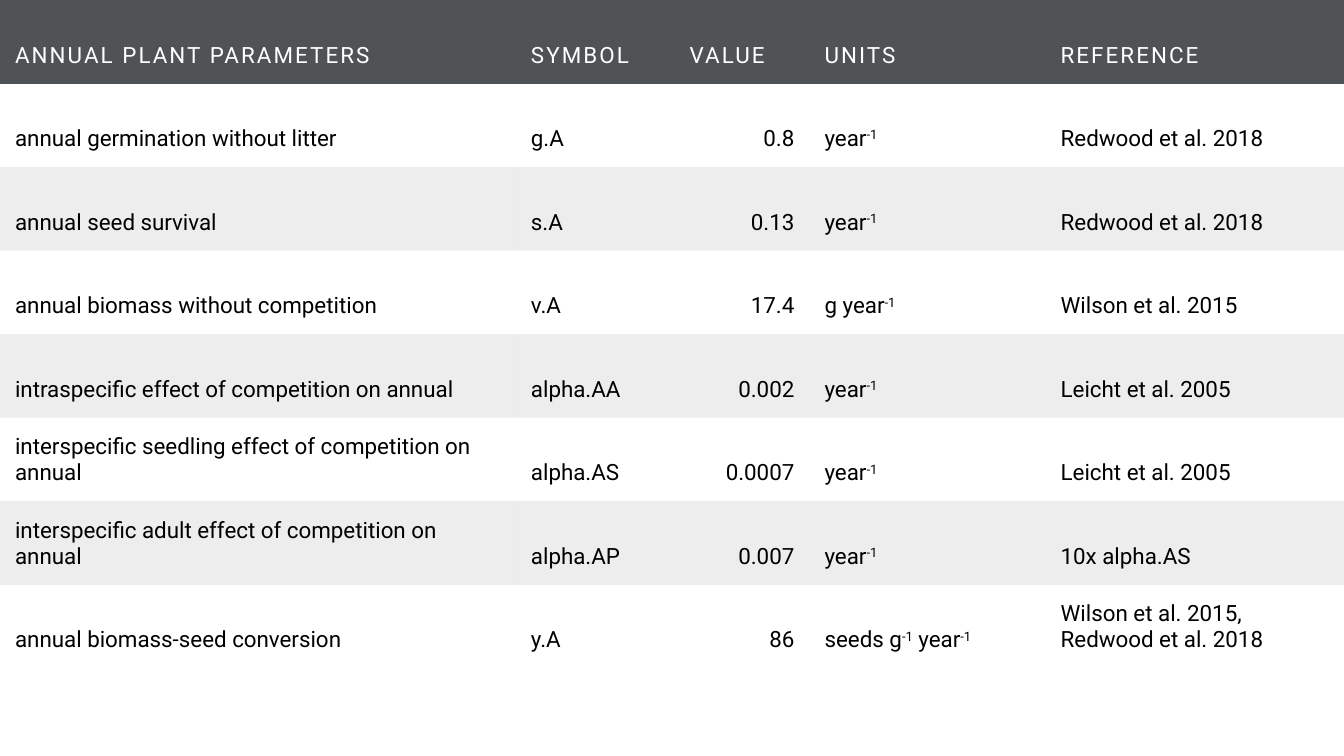
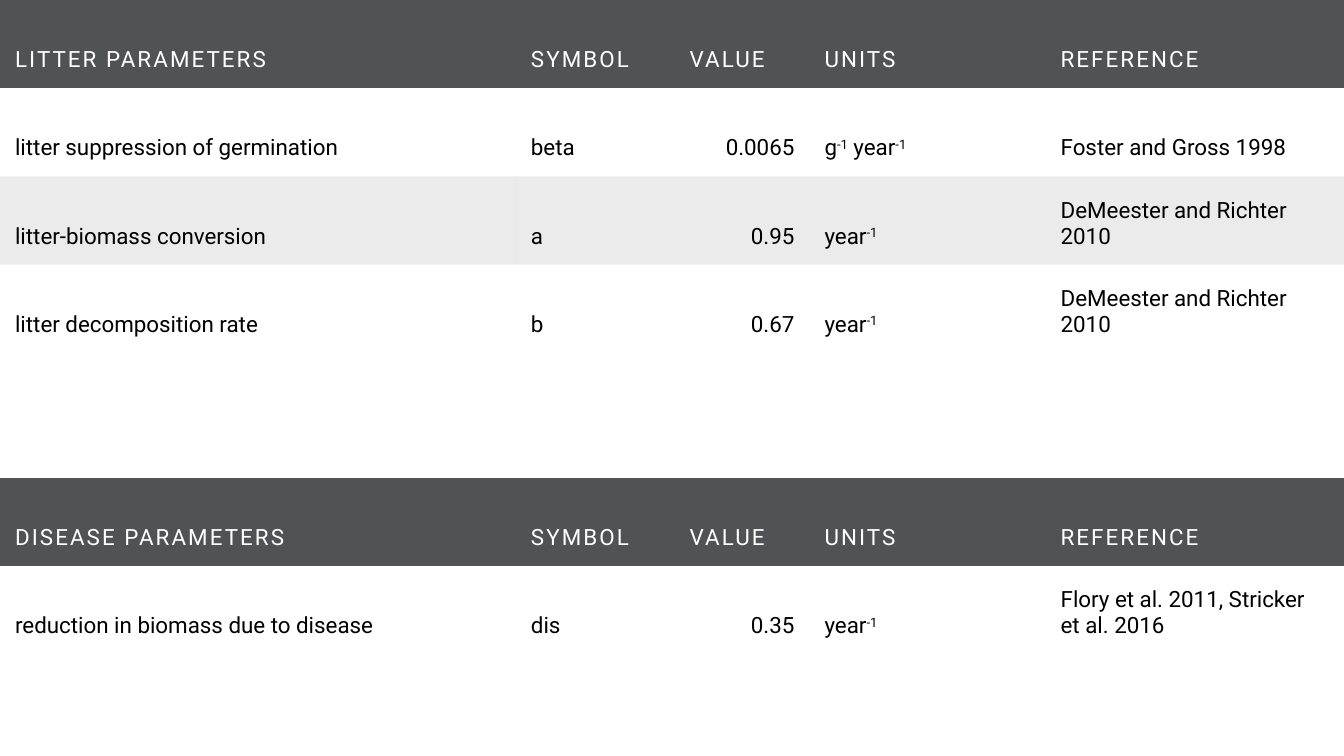
import pptx
import pptx.util
import pptx.dml.color
import pptx.enum.text
import pptx.oxml.ns
import lxml.etree

Cm = pptx.util.Cm
RGB = pptx.dml.color.RGBColor
SLATE = RGB(0x50, 0x53, 0x56)
WHITE = RGB(0xFF, 0xFF, 0xFF)
BLACK = RGB(0x00, 0x00, 0x00)
FONT = "Roboto"
PLAIN = "{2D5ABB26-0587-4C30-8999-92F81FD0307C}"  # table style without grid
WIDTHS = [13.0, 4.0, 3.4, 5.95, 7.52]
HEADS = ["SYMBOL", "VALUE", "UNITS", "REFERENCE"]
VALUE, UNITS = 2, 3

# Per slide: tables as (title, top, height, band opacity in %, rows)
SLIDES = [
    [("ANNUAL PLANT PARAMETERS", 0, 16.84, 7, [
        ["annual germination without litter", "g.A", "0.8", "year-1", "Redwood et al. 2018"],
        ["annual seed survival", "s.A", "0.13", "year-1", "Redwood et al. 2018"],
        ["annual biomass without competition", "v.A", "17.4", "g year-1", "Wilson et al. 2015"],
        ["intraspecific effect of competition on annual", "alpha.AA", "0.002", "year-1",
         "Leicht et al. 2005"],
        ["interspecific seedling effect of competition on annual", "alpha.AS", "0.0007", "year-1",
         "Leicht et al. 2005"],
        ["interspecific adult effect of competition on annual", "alpha.AP", "0.007", "year-1",
         "10x alpha.AS"],
        ["annual biomass-seed conversion", "y.A", "86", "seeds g-1 year-1",
         "Wilson et al. 2015, Redwood et al. 2018"],
    ])],
    [("LITTER PARAMETERS", 0, 8.89, 8, [
        ["litter suppression of germination", "beta", "0.0065", "g-1 year-1",
         "Foster and Gross 1998"],
        ["litter-biomass conversion", "a", "0.95", "year-1", "DeMeester and Richter 2010"],
        ["litter decomposition rate", "b", "0.67", "year-1", "DeMeester and Richter 2010"],
    ]), ("DISEASE PARAMETERS", 12.04, 4.45, 8, [
        ["reduction in biomass due to disease", "dis", "0.35", "year-1",
         "Flory et al. 2011, Stricker et al. 2016"],
    ])],
]


def shade(cell, row, alpha):
    """Dark header, then every second body row tinted."""
    if row == 0:
        cell.fill.solid()
        cell.fill.fore_color.rgb = SLATE
    elif row % 2 == 0:
        cell.fill.solid()
        cell.fill.fore_color.rgb = BLACK
        tint = next(cell._tc.iter(pptx.oxml.ns.qn("a:srgbClr")))
        lxml.etree.SubElement(tint, pptx.oxml.ns.qn("a:alpha")).set("val", str(alpha * 1000))
    else:
        cell.fill.background()


def write(cell, text, head, col):
    """Fill in one cell; exponents in the units column are raised."""
    cell.margin_left = cell.margin_right = Cm(0.38)
    cell.margin_top = cell.margin_bottom = Cm(0.38)
    cell.vertical_anchor = pptx.enum.text.MSO_ANCHOR.BOTTOM
    para = cell.text_frame.paragraphs[0]
    para.font.size = pptx.util.Pt(16)
    para.font.name = FONT
    para.font.color.rgb = WHITE if head else BLACK
    if head:
        para.font._element.set("spc", "150")
    elif col == VALUE:
        para.alignment = pptx.enum.text.PP_ALIGN.RIGHT
    parts = text.split("-1") if col == UNITS else [text]
    for i, part in enumerate(parts):
        if i:
            power = para.add_run()
            power.text = "-1"
            power.font._element.set("baseline", "30000")
        if part:
            para.add_run().text = part


deck = pptx.Presentation()
deck.slide_width, deck.slide_height = Cm(33.87), Cm(19.05)

for tables in SLIDES:
    slide = deck.slides.add_slide(deck.slide_layouts[6])
    for title, top, height, alpha, body in tables:
        rows = [[title] + HEADS] + body
        frame = slide.shapes.add_table(len(rows), len(WIDTHS), 0, Cm(top),
                                       Cm(sum(WIDTHS)), Cm(height))
        table = frame.table
        table.first_row = table.horz_banding = False
        table._tbl.tblPr.find(pptx.oxml.ns.qn("a:tableStyleId")).text = PLAIN
        for column, width in zip(table.columns, WIDTHS):
            column.width = Cm(width)
        # Cells
        for r, texts in enumerate(rows):
            for c, text in enumerate(texts):
                shade(table.cell(r, c), r, alpha)
                write(table.cell(r, c), text, r == 0, c)

deck.save("out.pptx")
